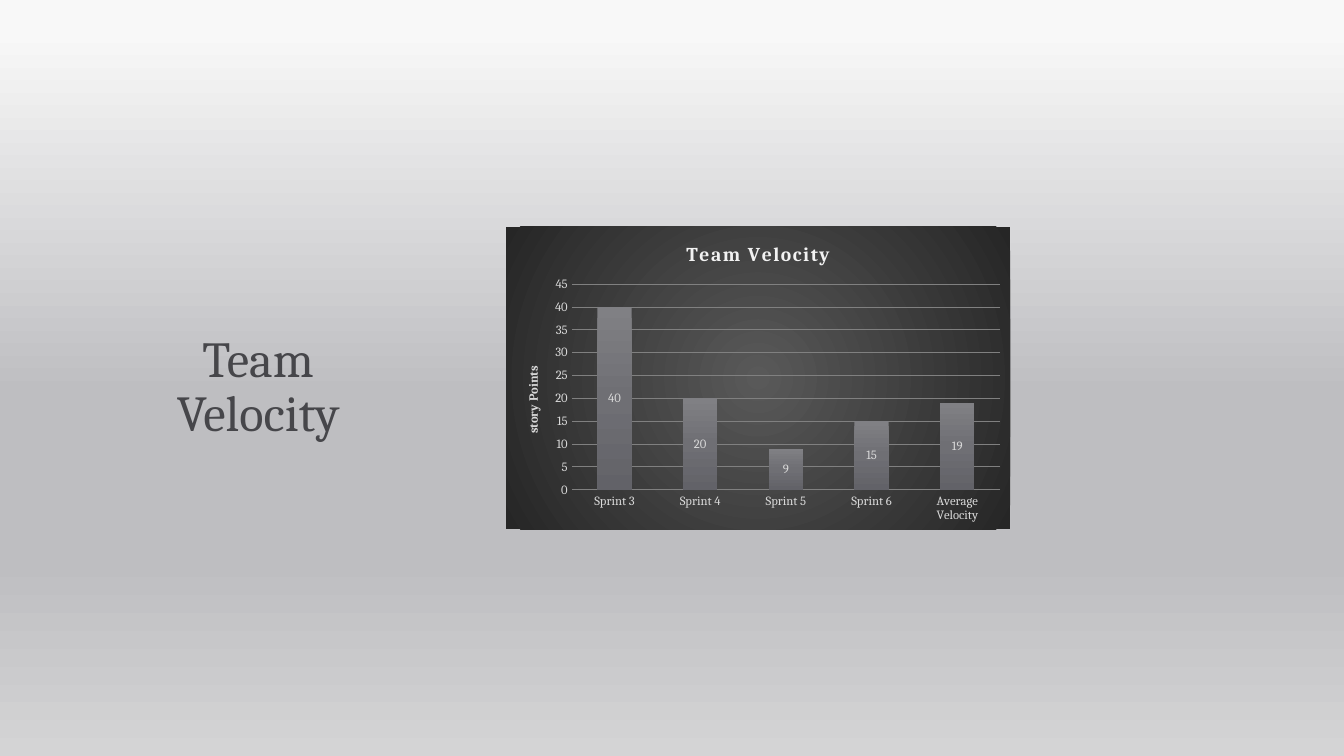
from dataclasses import dataclass

from lxml import etree
from pptx import Presentation
from pptx.chart import data as chart_data
from pptx.dml.color import RGBColor
from pptx.enum import chart as ch, text
from pptx.oxml import parse_xml
from pptx.oxml.ns import nsdecls, qn
from pptx.util import Inches, Pt


@dataclass(frozen=True)
class Gradient:
    stops: tuple[tuple[int, str], ...]
    radial: bool = False


@dataclass(frozen=True)
class Theme:
    font: str = "Cambria"
    heading: str = "46464A"
    chart_title: str = "F2F2F2"
    label: str = "D9D9D9"
    grid: str = "808080"
    heading_size: int = 36
    chart_title_size: int = 14
    label_size: int = 9
    backdrop: Gradient = Gradient(((4, "F8F8F8"), (52, "BEBEC1"), (74, "BEBEC1"), (100, "D4D4D5")))
    panel: Gradient = Gradient(((0, "595959"), (100, "262626")), radial=True)
    bars: Gradient = Gradient(((0, "808084"), (50, "6F6F74"), (100, "626268")))


@dataclass(frozen=True)
class Velocity:
    label: str
    points: int


THEME = Theme()
VELOCITIES = (
    Velocity("Sprint 3", 40),
    Velocity("Sprint 4", 20),
    Velocity("Sprint 5", 9),
    Velocity("Sprint 6", 15),
    Velocity("Average Velocity", 19),
)


def gradient_xml(gradient: Gradient) -> str:
    stops = "".join(
        f'<a:gs pos="{pos * 1000}"><a:srgbClr val="{color}"/></a:gs>' for pos, color in gradient.stops
    )
    direction = '<a:lin ang="5400000" scaled="0"/>'
    if gradient.radial:
        direction = '<a:path path="circle"><a:fillToRect l="50000" t="50000" r="50000" b="50000"/></a:path>'
    return f'<a:gradFill {nsdecls("a")} rotWithShape="1"><a:gsLst>{stops}</a:gsLst>{direction}</a:gradFill>'


def paint(fill, holder, gradient: Gradient) -> None:
    """Fill with any number of gradient stops."""
    fill.gradient()
    default = holder.find(".//" + qn("a:gradFill"))
    default.getparent().replace(default, parse_xml(gradient_xml(gradient)))


def style(font, size: int, color: str, bold: bool = False) -> None:
    font.name = THEME.font
    font.size = Pt(size)
    font.bold = bold
    font.color.rgb = RGBColor.from_string(color)


def add_caption(frame, words: str, size: int, color: str):
    run = frame.paragraphs[0].add_run()
    run.text = words
    style(run.font, size, color, bold=True)
    return run


def add_heading(slide) -> None:
    heading = slide.shapes.title
    heading.left, heading.top = Inches(1.12), Inches(2.15)
    heading.width, heading.height = Inches(2.88), Inches(2.79)
    frame = heading.text_frame
    frame.word_wrap = True
    frame.auto_size = text.MSO_AUTO_SIZE.NONE
    frame.vertical_anchor = text.MSO_ANCHOR.MIDDLE
    frame.margin_top = Inches(0.66)
    line = frame.paragraphs[0]
    line.alignment = text.PP_ALIGN.CENTER
    line.line_spacing = 0.9
    line.space_after = Pt(6)
    run = line.add_run()
    run.text = "Team Velocity"
    style(run.font, THEME.heading_size, THEME.heading)


def add_velocity_chart(slide) -> None:
    velocity_data = chart_data.CategoryChartData()
    velocity_data.categories = [v.label for v in VELOCITIES]
    velocity_data.add_series("Series 1", [v.points for v in VELOCITIES])
    chart = slide.shapes.add_chart(
        ch.XL_CHART_TYPE.COLUMN_STACKED, Inches(5.02), Inches(2.25), Inches(5), Inches(3), velocity_data
    ).chart
    style(chart.font, THEME.label_size, THEME.label)
    chart.has_legend = False

    # Dark panel behind the plot
    chart_part = chart._chartSpace.find(qn("c:chart"))
    chart_part.addnext(parse_xml(
        f'<c:spPr {nsdecls("c", "a")}>{gradient_xml(THEME.panel)}<a:ln><a:noFill/></a:ln></c:spPr>'
    ))

    # Plot position as fractions of the chart
    plot_area = chart_part.find(qn("c:plotArea"))
    layout = plot_area.find(qn("c:layout"))
    if layout is None:
        layout = etree.Element(qn("c:layout"))
        plot_area.insert(0, layout)
    manual = etree.SubElement(layout, qn("c:manualLayout"))
    for tag, value in (("layoutTarget", "inner"), ("xMode", "edge"), ("yMode", "edge"),
                       ("x", "0.13"), ("y", "0.19"), ("w", "0.85"), ("h", "0.68")):
        etree.SubElement(manual, qn(f"c:{tag}"), val=value)

    # Titles
    chart.has_title = True
    chart.chart_title.include_in_layout = False
    caption = add_caption(
        chart.chart_title.text_frame, "Team Velocity", THEME.chart_title_size, THEME.chart_title
    )
    caption.font._element.set("spc", "100")
    points_axis = chart.value_axis
    add_caption(points_axis.axis_title.text_frame, "story Points", THEME.label_size, THEME.label)

    # Axes
    for axis in (chart.category_axis, points_axis):
        axis.major_tick_mark = axis.minor_tick_mark = ch.XL_TICK_MARK.NONE
        axis.format.line.fill.background()
        style(axis.tick_labels.font, THEME.label_size, THEME.label)
    points_axis.minimum_scale, points_axis.maximum_scale, points_axis.major_unit = 0, 45, 5
    grid = points_axis.major_gridlines.format.line
    grid.width = Pt(0.75)
    grid.color.rgb = RGBColor.from_string(THEME.grid)

    # Bars and their values
    plot = chart.plots[0]
    plot.gap_width, plot.overlap = 150, 100
    plot.vary_by_categories = False
    bars = plot.series[0]
    paint(bars.format.fill, bars._element, THEME.bars)
    labels = bars.data_labels
    labels.show_value = True
    labels.position = ch.XL_LABEL_POSITION.CENTER
    style(labels.font, THEME.label_size, THEME.label)


def main() -> None:
    deck = Presentation()
    deck.slide_width, deck.slide_height = Inches(13.33), Inches(7.5)
    slide = deck.slides.add_slide(deck.slide_layouts[5])
    paint(slide.background.fill, slide._element, THEME.backdrop)
    add_heading(slide)
    add_velocity_chart(slide)
    deck.save("out.pptx")


if __name__ == "__main__":
    main()
